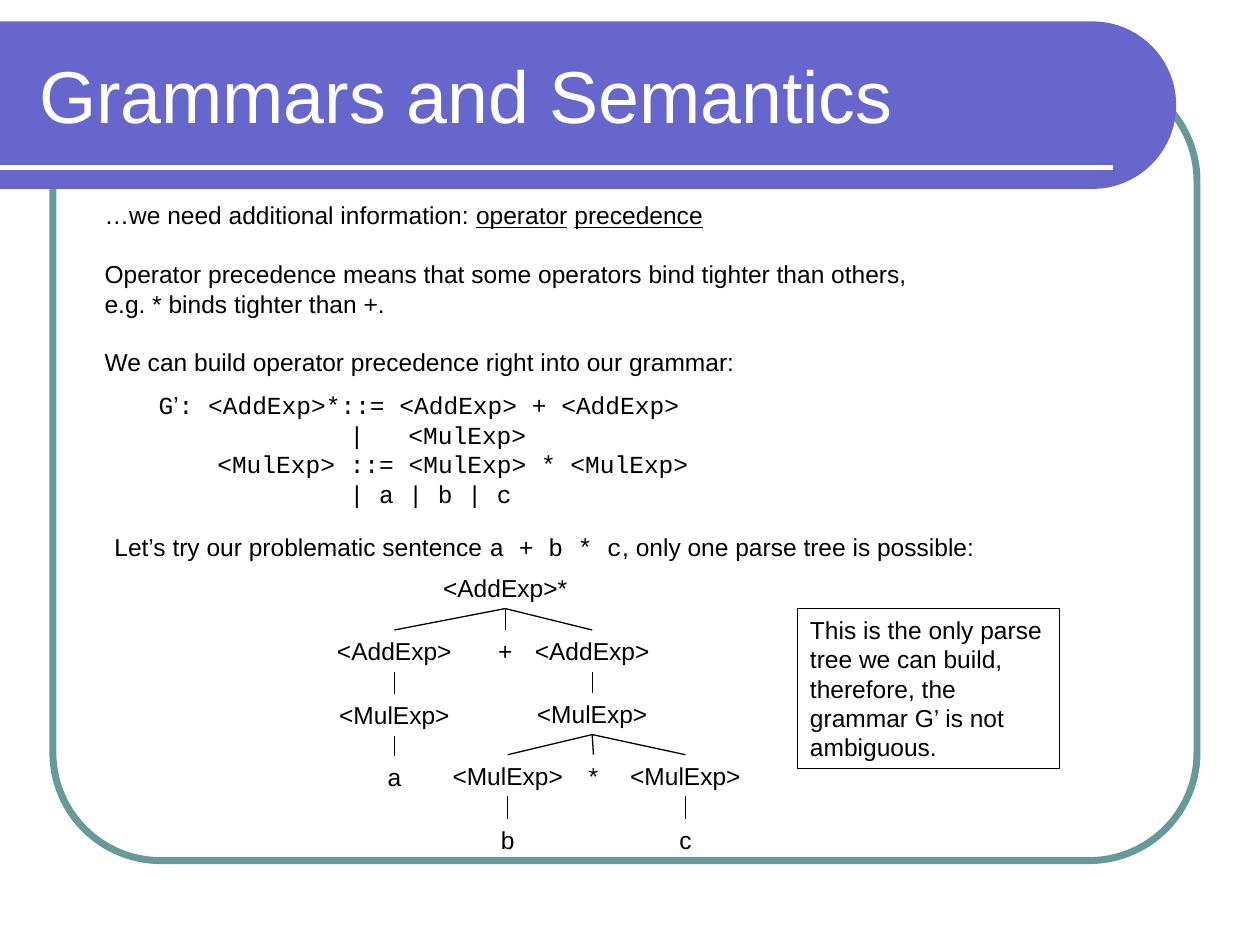
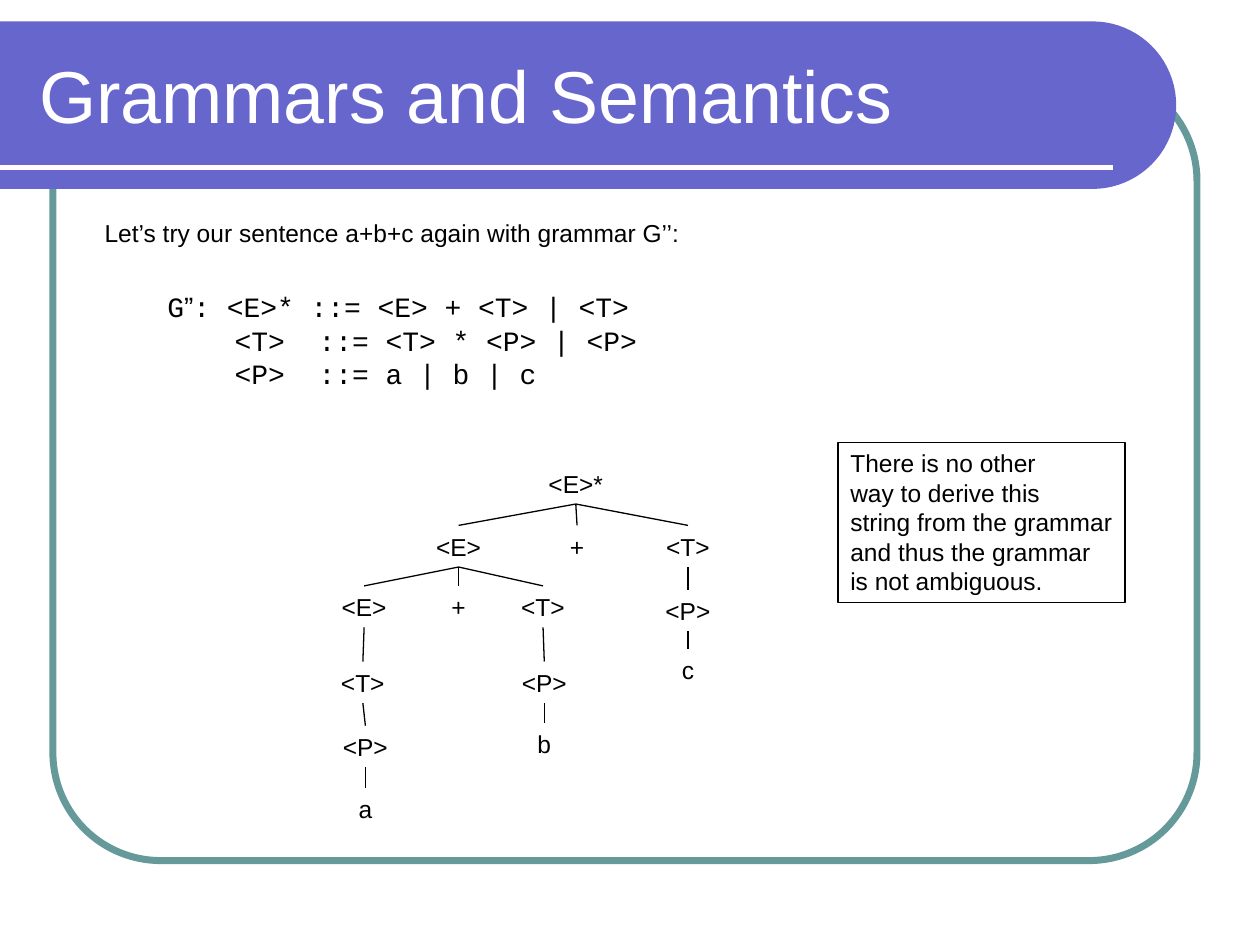
from math import cos, pi, sin

from lxml import etree
from pptx import Presentation, util as u
from pptx.dml.color import RGBColor
from pptx.enum import shapes, text
from pptx.oxml import ns

# Shared style
BLACK = RGBColor(0x00, 0x00, 0x00)
WHITE = RGBColor(0xFF, 0xFF, 0xFF)
VIOLET = RGBColor(0x66, 0x66, 0xCC)
TEAL = RGBColor(0x66, 0x99, 0x99)
SANS, MONO = "Arial", "Courier New"
SIZE, LEADING = 14, 1.2
NODE_HEIGHT = 0.34
NODE_WIDTHS = {"<AddExp>*": 1.18, "<AddExp>": 1.11, "<MulExp>": 1.08,
               "<E>*": 0.63, "<E>": 0.56, "<T>": 0.54, "<P>": 0.56}
LEAF_WIDTH = 0.31
UNDERLINED, CODE, PROSE = {"underline": True}, {"name": MONO}, {"name": SANS}

# Content: a line is a list of spans (text, format);
# a tree node is (label, centre x, top, children)
SLIDES = [
    {
        "title": "Grammars and Semantics",
        "intro": {
            "at": (0.73, 1.54, 8.44, 1.5),
            "gaps": {1, 3},
            "lines": [
                [("…we need additional information: ", {}), ("operator", UNDERLINED),
                 (" ", {}), ("precedence", UNDERLINED)],
                [("Operator precedence means that some operators bind tighter "
                  "than others,", {})],
                [("e.g. * binds tighter than +.", {})],
                [("We can build operator precedence right into our grammar:", {})],
            ],
        },
        "grammar": {
            "at": (1.16, 3.05, 4.41, 1.04), "size": 14, "columns": (4, 13, 17),
            "lines": [
                [("G", {}), ("’", PROSE), (": <AddExp>*::= <AddExp> + <AddExp>", {})],
                [("\t\t|\t<MulExp>", {})],
                [("\t<MulExp> ::= <MulExp> * <MulExp>", {})],
                [("\t\t| a | b | c", {})],
            ],
        },
        "sentence": {
            "at": (0.81, 4.17, 7.03, 0.34),
            "lines": [[("Let’s try our problematic sentence ", {}), ("a + b * c", CODE),
                       (", only one parse tree is possible:", {})]],
        },
        "tree": ("<AddExp>*", 4.01, 4.5, [
            ("<AddExp>", 3.13, 5, [
                ("<MulExp>", 3.13, 5.51, [("a", 3.13, 6, [])])]),
            ("+", 4.01, 5, []),
            ("<AddExp>", 4.7, 5, [
                ("<MulExp>", 4.7, 5.5, [
                    ("<MulExp>", 4.03, 5.99, [("b", 4.03, 6.5, [])]),
                    ("*", 4.71, 5.99, []),
                    ("<MulExp>", 5.44, 5.99, [("c", 5.44, 6.5, [])])])])]),
        "note": {
            "at": (6.33, 4.83, 2.08, 1.27), "wrap": True,
            "lines": [[("This is the only parse tree we can build, therefore, "
                        "the grammar G’ is not ambiguous.", {})]],
        },
    },
    {
        "title": "Grammars and Semantics",
        "intro": {
            "at": (0.73, 1.68, 4.77, 0.34),
            "lines": [[("Let’s try our sentence a+b+c again with grammar G’’:", {})]],
        },
        "grammar": {
            "at": (1.23, 2.25, 3.92, 0.9), "size": 16, "columns": (4, 9),
            "lines": [
                [("G", {}), ("”", PROSE), (": <E>* ::= <E> + <T> | <T>", {})],
                [("\t<T>\t::= <T> * <P> | <P>", {})],
                [("\t<P>\t::= a | b | c", {})],
            ],
        },
        "tree": ("<E>*", 4.57, 3.67, [
            ("<E>", 3.64, 4.17, [
                ("<E>", 2.89, 4.65, [
                    ("<T>", 2.88, 5.25, [
                        ("<P>", 2.9, 5.76, [("a", 2.9, 6.25, [])])])]),
                ("+", 3.64, 4.65, []),
                ("<T>", 4.31, 4.65, [
                    ("<P>", 4.32, 5.25, [("b", 4.32, 5.74, [])])])]),
            ("+", 4.58, 4.17, []),
            ("<T>", 5.46, 4.17, [
                ("<P>", 5.46, 4.68, [("c", 5.46, 5.15, [])])])]),
        "note": {
            "at": (6.65, 3.51, 2.28, 1.27), "wrap": False,
            "lines": [[(line, {})] for line in (
                "There is no other", "way to derive this", "string from the grammar",
                "and thus the grammar", "is not ambiguous.")],
        },
    },
]


def inches(values):
    return [u.Inches(value) for value in values]


def place(shape, at):
    for name, value in zip(("left", "top", "width", "height"), inches(at)):
        setattr(shape, name, value)


def set_font(span, color=BLACK, **values):
    for name, value in values.items():
        setattr(span.font, name, value)
    span.font.color.rgb = color


def write(frame, lines, size=SIZE, font=SANS, align=text.PP_ALIGN.LEFT,
          wrap=False, gaps=(), columns=()):
    """Fill a frame; gaps are the lines that follow one line of space."""
    for name, value in {"word_wrap": wrap, "auto_size": text.MSO_AUTO_SIZE.NONE,
                        "vertical_anchor": text.MSO_ANCHOR.TOP}.items():
        setattr(frame, name, value)
    for index, line in enumerate(lines):
        para = frame.paragraphs[0] if index == 0 else frame.add_paragraph()
        leading = u.Pt(size * LEADING)
        for name, value in {"alignment": align, "line_spacing": leading,
                            "space_before": leading if index in gaps else u.Pt(0)}.items():
            setattr(para, name, value)
        for words, changes in line:
            span = para.add_run()
            span.text = words
            set_font(span, **{"name": font, "size": u.Pt(size), **changes})
        if columns:
            set_columns(para, columns, size)


def set_columns(para, columns, size):
    """Put tab stops at character columns of the fixed-width font."""
    stops = etree.SubElement(para._p.get_or_add_pPr(), ns.qn("a:tabLst"))
    for column in columns:
        etree.SubElement(stops, ns.qn("a:tab"), algn="l",
                         pos=str(int(u.Pt(column * size * 0.6))))


def add_text(page, at, lines, **style):
    box = page.shapes.add_textbox(*inches(at))
    write(box.text_frame, lines, **style)


def add_line(page, start, end, color=BLACK, width=0.75):
    line = page.shapes.add_connector(shapes.MSO_CONNECTOR.STRAIGHT, *inches(start + end))
    line.line.color.rgb = color
    line.line.width = u.Pt(width)
    etree.SubElement(line._element.spPr, ns.qn("a:effectLst"))


def add_frame(page):
    """Draw the rounded border, the title band and its rule."""
    border = page.shapes.add_shape(shapes.MSO_SHAPE.ROUNDED_RECTANGLE,
                                   *inches((0.42, 0.58, 9.08, 6.25)))
    border.adjustments[0] = 0.137
    border.shadow.inherit = False
    border.fill.background()
    border.line.color.rgb = TEAL
    border.line.width = u.Pt(4)

    radius, steps = 0.665, 40
    angles = [pi * step / steps - pi / 2 for step in range(steps + 1)]
    arc = [(8.67 + radius * cos(a), 0.835 + radius * sin(a)) for a in angles]
    outline = page.shapes.build_freeform(0, u.Inches(0.17))
    outline.add_line_segments([inches(point) for point in arc + [(0, 1.5)]], close=True)
    band = outline.convert_to_shape()
    band.shadow.inherit = False
    band.fill.solid()
    band.fill.fore_color.rgb = VIOLET
    band.line.fill.background()
    add_line(page, (0, 1.33), (8.83, 1.33), WHITE, 3)


def add_title(page, words):
    title = page.shapes.title
    place(title, (0.21, 0.25, 8.77, 1))
    frame = title.text_frame
    frame.text = words
    frame.vertical_anchor = text.MSO_ANCHOR.MIDDLE
    frame.auto_size = text.MSO_AUTO_SIZE.NONE
    frame.paragraphs[0].alignment = text.PP_ALIGN.LEFT
    set_font(frame.paragraphs[0].runs[0], WHITE, name=SANS, size=u.Pt(42))


def add_intro(page, at, lines, gaps=()):
    body = page.placeholders[1]
    place(body, at)
    write(body.text_frame, lines, wrap=True, gaps=gaps)
    for para in body.text_frame.paragraphs:
        settings = para._p.get_or_add_pPr()
        settings.set("marL", "0")
        settings.set("indent", "0")
        etree.SubElement(settings, ns.qn("a:buNone"))


def add_tree(page, node):
    label, x, top, children = node
    width = NODE_WIDTHS.get(label, LEAF_WIDTH)
    add_text(page, (x - width / 2, top, width, NODE_HEIGHT), [[(label, {})]],
             align=text.PP_ALIGN.CENTER)
    for child in children:
        add_line(page, (x, top + NODE_HEIGHT - 0.01), child[1:3])
        add_tree(page, child)


def add_note(page, at, lines, wrap):
    note = page.shapes.add_shape(shapes.MSO_SHAPE.RECTANGLE, *inches(at))
    note.shadow.inherit = False
    note.fill.background()
    note.line.color.rgb = BLACK
    note.line.width = u.Pt(0.75)
    write(note.text_frame, lines, wrap=wrap)


def add_page(deck, content):
    page = deck.slides.add_slide(deck.slide_layouts[1])
    add_frame(page)
    # Bring the placeholders in front of the band
    for holder in list(page.placeholders):
        page.shapes._spTree.append(holder._element)
    add_title(page, content["title"])
    add_intro(page, **content["intro"])
    add_text(page, font=MONO, **content["grammar"])
    if "sentence" in content:
        add_text(page, **content["sentence"])
    add_tree(page, content["tree"])
    add_note(page, **content["note"])


def main():
    deck = Presentation()
    deck.slide_width, deck.slide_height = inches((10, 7.5))
    for content in SLIDES:
        add_page(deck, content)
    deck.save("out.pptx")


if __name__ == "__main__":
    main()
